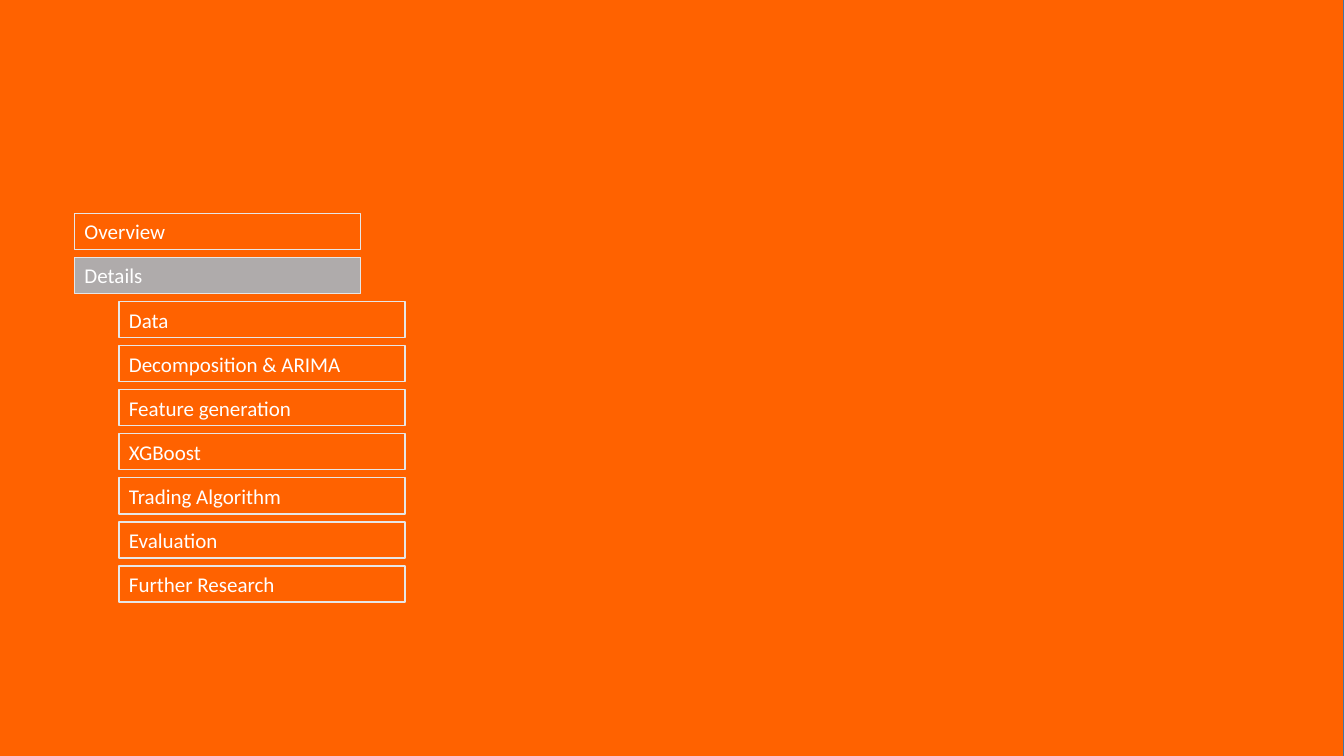
from dataclasses import dataclass

from pptx import Presentation
from pptx.dml.color import RGBColor
from pptx.enum.shapes import MSO_SHAPE
from pptx.enum.text import MSO_ANCHOR, PP_ALIGN
from pptx.shapes.autoshape import Shape
from pptx.slide import Slide
from pptx.util import Cm, Pt

ORANGE = RGBColor(0xFF, 0x62, 0x00)
GREY = RGBColor(0xAF, 0xAB, 0xAB)
PALE = RGBColor(0xE7, 0xE6, 0xE6)
BLUE = RGBColor(0x43, 0x73, 0x9E)
WHITE = RGBColor(0xFF, 0xFF, 0xFF)

AGENDA_LEFT, AGENDA_TOP = 1.88, 5.38
BOX_WIDTH, BOX_HEIGHT = 7.21, 0.91
ROW_STEP, INDENT = 1.11, 1.12
TEXT_FORMAT = {"name": "Calibri", "size": Pt(15)}


@dataclass(frozen=True)
class AgendaItem:
    label: str
    level: int = 0
    fill: RGBColor = ORANGE


AGENDA = [
    AgendaItem("Overview"),
    AgendaItem("Details", fill=GREY),
    AgendaItem("Data", level=1),
    AgendaItem("Decomposition & ARIMA", level=1),
    AgendaItem("Feature generation", level=1),
    AgendaItem("XGBoost", level=1),
    AgendaItem("Trading Algorithm", level=1),
    AgendaItem("Evaluation", level=1),
    AgendaItem("Further Research", level=1),
]


def add_box(page: Slide, left: float, top: float, width: float, height: float,
            fill: RGBColor, line: RGBColor) -> Shape:
    """Add a flat rectangle, measured in centimetres."""
    box = page.shapes.add_shape(
        MSO_SHAPE.RECTANGLE, Cm(left), Cm(top), Cm(width), Cm(height))
    box.shadow.inherit = False
    box.fill.solid()
    box.fill.fore_color.rgb = fill
    box.line.color.rgb = line
    box.line.width = Pt(1)
    return box


def add_agenda_item(page: Slide, row: int, item: AgendaItem) -> None:
    box = add_box(page, AGENDA_LEFT + item.level * INDENT,
                  AGENDA_TOP + row * ROW_STEP,
                  BOX_WIDTH, BOX_HEIGHT, item.fill, PALE)
    box.text_frame.vertical_anchor = MSO_ANCHOR.MIDDLE
    para = box.text_frame.paragraphs[0]
    para.alignment = PP_ALIGN.LEFT
    span = para.add_run()
    span.text = item.label
    for attribute, value in TEXT_FORMAT.items():
        setattr(span.font, attribute, value)
    span.font.color.rgb = WHITE


def main() -> None:
    deck = Presentation()
    deck.slide_width, deck.slide_height = Cm(33.87), Cm(19.05)
    page = deck.slides.add_slide(deck.slide_layouts[6])
    add_box(page, -0.2, -0.18, 34.06, 19.79, ORANGE, BLUE)
    for row, item in enumerate(AGENDA):
        add_agenda_item(page, row, item)
    deck.save("out.pptx")


if __name__ == "__main__":
    main()
